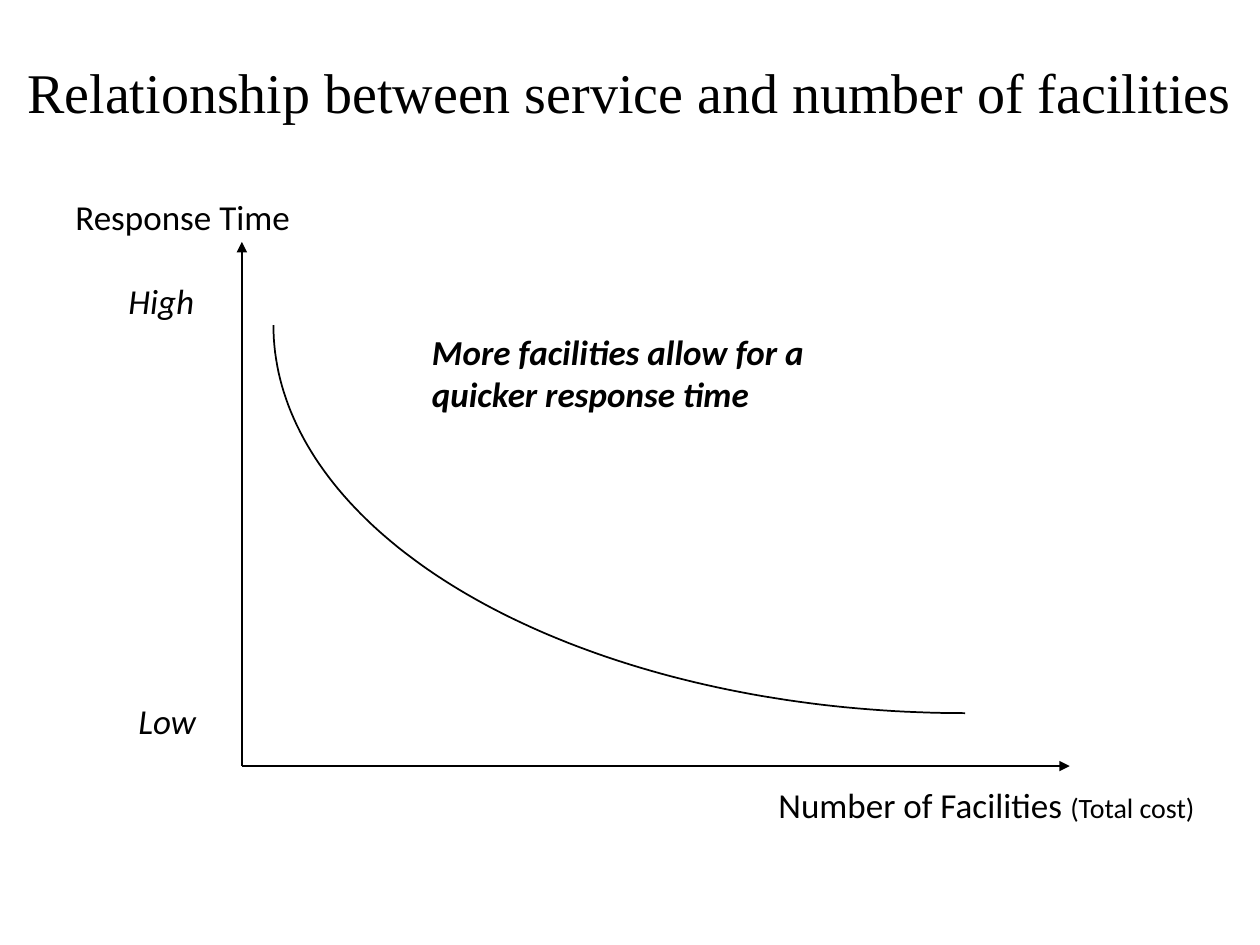
"""Build a slide relating response time to the number of facilities."""
import math

import pptx
import pptx.dml.color
import pptx.enum.shapes
import pptx.enum.text
import pptx.oxml
import pptx.oxml.ns
import pptx.util
from pptx.util import Inches


def rgb(value):
    return pptx.dml.color.RGBColor.from_string(value)


class Deck:
    ink = "000000"
    title_font = "Times New Roman"
    body_font = "Calibri"

    def __init__(self, prs):
        self.s = prs.slides.add_slide(prs.slide_layouts[5])

    def style(self, r, size, font, bold=False, italic=False):
        r.font.size = pptx.util.Pt(size)
        r.font.name = font
        r.font.bold = bold
        r.font.italic = italic
        r.font.color.rgb = rgb(self.ink)

    def stroke(self, sp):
        sp.line.color.rgb = rgb(self.ink)
        sp.line.width = pptx.util.Pt(1)

    def title(self, text, x, y, w, h):
        sp = self.s.shapes.title
        sp.left, sp.top, sp.width, sp.height = map(Inches, (x, y, w, h))
        tf = sp.text_frame
        tf.text = text
        tf.vertical_anchor = pptx.enum.text.MSO_ANCHOR.BOTTOM
        p = tf.paragraphs[0]
        p.alignment = pptx.enum.text.PP_ALIGN.CENTER
        self.style(p.runs[0], 32, self.title_font)

    def label(self, text, x, y, w, h, wrap=False, bold=False, italic=False):
        sp = self.s.shapes.add_textbox(*map(Inches, (x, y, w, h)))
        tf = sp.text_frame
        tf.text = text
        tf.word_wrap = wrap
        tf.auto_size = pptx.enum.text.MSO_AUTO_SIZE.SHAPE_TO_FIT_TEXT
        for p in tf.paragraphs:
            for r in p.runs:
                self.style(r, 20, self.body_font, bold, italic)
        return tf

    def axis(self, x1, y1, x2, y2):
        sp = self.s.shapes.add_connector(
            pptx.enum.shapes.MSO_CONNECTOR.STRAIGHT, *map(Inches, (x1, y1, x2, y2)))
        self.stroke(sp)
        ln = sp.line._get_or_add_ln()
        tail = pptx.oxml.parse_xml(
            f'<a:tailEnd {pptx.oxml.ns.nsdecls("a")} type="triangle"/>')
        ln.append(tail)
        ln.addnext(pptx.oxml.parse_xml(f'<a:effectLst {pptx.oxml.ns.nsdecls("a")}/>'))

    def curve(self, x, y, w, h, steps=90):
        angles = [math.pi / 2 * i / steps for i in range(steps + 1)]
        points = [(Inches(x + w * (1 - math.cos(a))), Inches(y + h * math.sin(a)))
                  for a in angles]
        fb = self.s.shapes.build_freeform(*points[0])
        fb.add_line_segments(points[1:], close=False)
        sp = fb.convert_to_shape()
        sp.shadow.inherit = False
        sp.fill.background()
        self.stroke(sp)


def main():
    prs = pptx.Presentation()
    prs.slide_width, prs.slide_height = Inches(10), Inches(7.5)
    deck = Deck(prs)
    deck.title("Relationship between service and number of facilities", 0, 0, 10, 1.04)

    origin = (1.92, 6.08)
    deck.axis(*origin, 1.92, 1.92)
    deck.axis(*origin, 8.49, 6.08)

    tf = deck.label("Number of Facilities ", 6.08, 6.17, 3.75, 0.43, wrap=True)
    r = tf.paragraphs[0].add_run()
    r.text = "(Total cost)"
    deck.style(r, 16, deck.body_font)
    deck.label("Response Time", 0.5, 1.5, 3, 0.43, wrap=True)

    deck.curve(2.17, 2.58, 5.49, 3.08)
    deck.label("Low", 1, 5.5, 0.69, 0.43, italic=True)
    deck.label("High", 0.92, 2.17, 0.73, 0.43, italic=True)
    deck.label("More facilities allow for a\nquicker response time",
               3.33, 2.57, 3.17, 0.77, bold=True, italic=True)
    prs.save("out.pptx")


if __name__ == "__main__":
    main()
